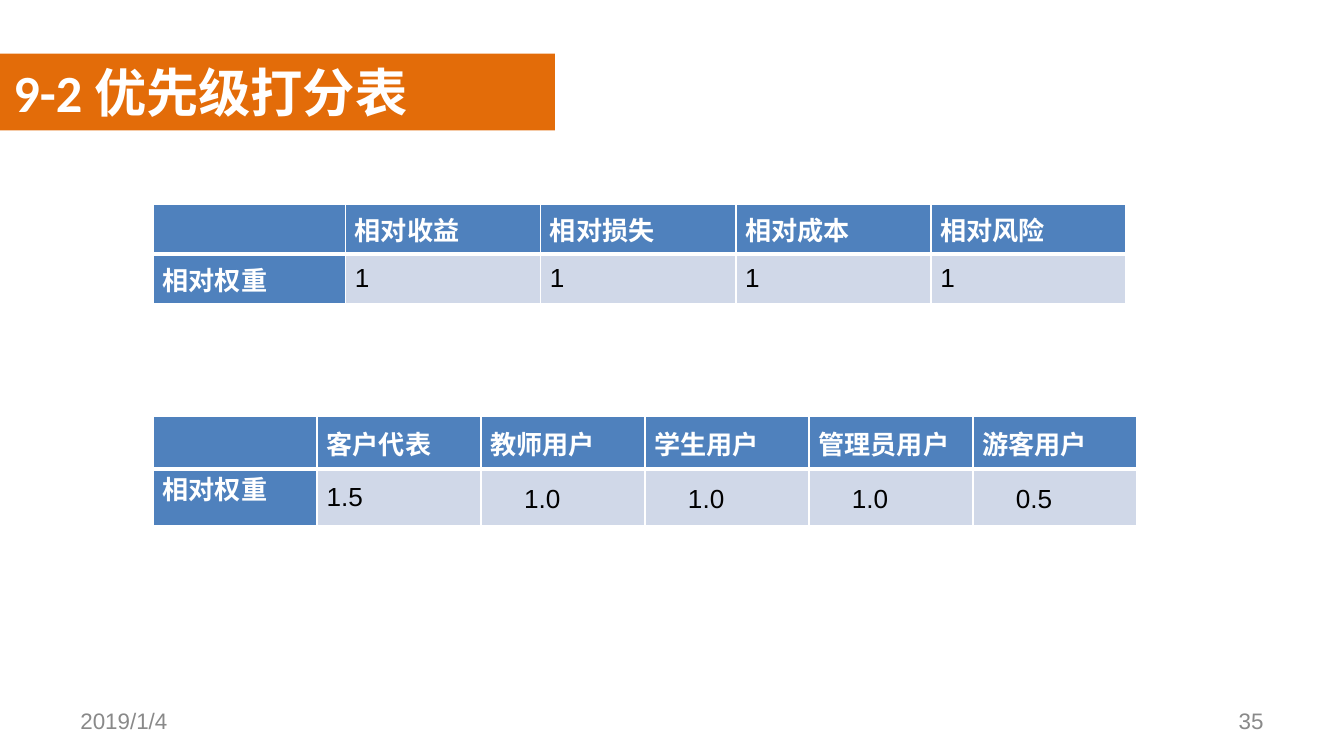
from lxml import etree
from pptx import Presentation
from pptx.dml.color import RGBColor
from pptx.enum.shapes import MSO_SHAPE
from pptx.enum.text import MSO_ANCHOR, PP_ALIGN
from pptx.oxml.ns import qn
from pptx.util import Inches, Pt

RECTANGLE = MSO_SHAPE.RECTANGLE
TOP, MIDDLE = MSO_ANCHOR.TOP, MSO_ANCHOR.MIDDLE
LEFT, RIGHT, JUSTIFY = PP_ALIGN.LEFT, PP_ALIGN.RIGHT, PP_ALIGN.JUSTIFY
TITLE_ONLY = 5
WHITE, BLACK, GRAY = "FFFFFF", "000000", "898989"
ORANGE, BLUE, PALE_BLUE = "E36C09", "4F81BD", "D0D8E8"


def color(hex_text):
    return RGBColor.from_string(hex_text)


def format_span(span, size, hex_text, bold=False, font="Arial"):
    span.font.size = Pt(size)
    span.font.name = font
    span.font.bold = bold
    span.font.color.rgb = color(hex_text)


def add_title(page, left, top, width, height):
    """Orange bar with the slide title on it."""
    box = [Inches(value) for value in (left, top, width, height)]
    bar = page.shapes.add_shape(RECTANGLE, *box)
    bar.shadow.inherit = False
    bar.fill.solid()
    bar.fill.fore_color.rgb = color(ORANGE)
    bar.line.fill.background()

    title = page.shapes.title
    title.left, title.top, title.width, title.height = box
    title.element.addprevious(bar.element)  # bar behind the title
    title.text_frame.vertical_anchor = TOP
    title.text_frame.text = "9-2 优先级打分表"
    para = title.text_frame.paragraphs[0]
    para.alignment = LEFT
    format_span(para.runs[0], 28, WHITE, True, "Calibri")


def add_footer(page, left, top, text, alignment):
    box = page.shapes.add_textbox(Inches(left), Inches(top), Inches(2.33), Inches(0.3))
    frame = box.text_frame
    frame.word_wrap = True
    frame.vertical_anchor = MIDDLE
    frame.text = text
    para = frame.paragraphs[0]
    para.alignment = alignment
    format_span(para.runs[0], 12, GRAY)


def set_borders(cell, **widths):
    """White borders; the lines must come before the fill in the cell."""
    properties = cell._tc.get_or_add_tcPr()
    for index, side in enumerate("LRTB"):
        line = etree.Element(qn(f"a:ln{side}"), w=str(Pt(widths.get(side, 1))))
        fill = etree.SubElement(line, qn("a:solidFill"))
        etree.SubElement(fill, qn("a:srgbClr"), val=WHITE)
        properties.insert(index, line)


def add_weight_table(page, box, label_width, heights, rows, indents, label_anchor):
    """Table with a blue header row and label column, other columns equal."""
    left, top, width, height = box
    count = len(rows[0])
    table = page.shapes.add_table(
        len(rows), count, Inches(left), Inches(top),
        Inches(width), Inches(height)).table
    for index, column in enumerate(table.columns):
        share = (width - label_width) / (count - 1)
        column.width = Inches(share if index else label_width)
    for row, row_height in zip(table.rows, heights):
        row.height = Inches(row_height)

    for r, texts in enumerate(rows):
        for c, text in enumerate(texts):
            cell = table.cell(r, c)
            heading = r == 0 or c == 0
            indent = 0 if heading else indents[c]
            cell.margin_left = Inches(0.07 + indent)
            cell.margin_right = Inches(0.07)
            cell.margin_top = Inches(0.04 if indent else 0)
            cell.margin_bottom = 0
            cell.vertical_anchor = label_anchor if r and c == 0 else MIDDLE
            cell.fill.solid()
            cell.fill.fore_color.rgb = color(BLUE if heading else PALE_BLUE)
            # Thick rule between header and weights
            set_borders(cell, **({"T": 3} if r else {"B": 3}))
            if text:
                cell.text_frame.text = text
                para = cell.text_frame.paragraphs[0]
                para.alignment = JUSTIFY
                format_span(para.runs[0], 14, WHITE if heading else BLACK, heading)


def main():
    deck = Presentation()
    deck.slide_width = Inches(10)
    deck.slide_height = deck.slide_width * 9 // 16
    page = deck.slides.add_slide(deck.slide_layouts[TITLE_ONLY])

    add_title(page, 0, 0.4, 4.13, 0.57)
    add_footer(page, 0.5, 5.21, "2019/1/4", LEFT)
    add_footer(page, 7.17, 5.21, "35", RIGHT)

    # Weights of the criteria
    add_weight_table(
        page, (1.14, 1.52, 7.24, 0.74), 1.43, [0.37, 0.37],
        [["", "相对收益", "相对损失", "相对成本", "相对风险"],
         ["相对权重"] + ["1"] * 4],
        [0] * 5, MIDDLE)

    # Weights of the user groups
    add_weight_table(
        page, (1.14, 3.1, 7.32, 0.82), 1.22, [0.39, 0.42],
        [["", "客户代表", "教师用户", "学生用户", "管理员用户", "游客用户"],
         ["相对权重", "1.5", "1.0", "1.0", "1.0", "0.5"]],
        [0, 0] + [0.25] * 4, TOP)

    deck.save("out.pptx")


if __name__ == "__main__":
    main()
